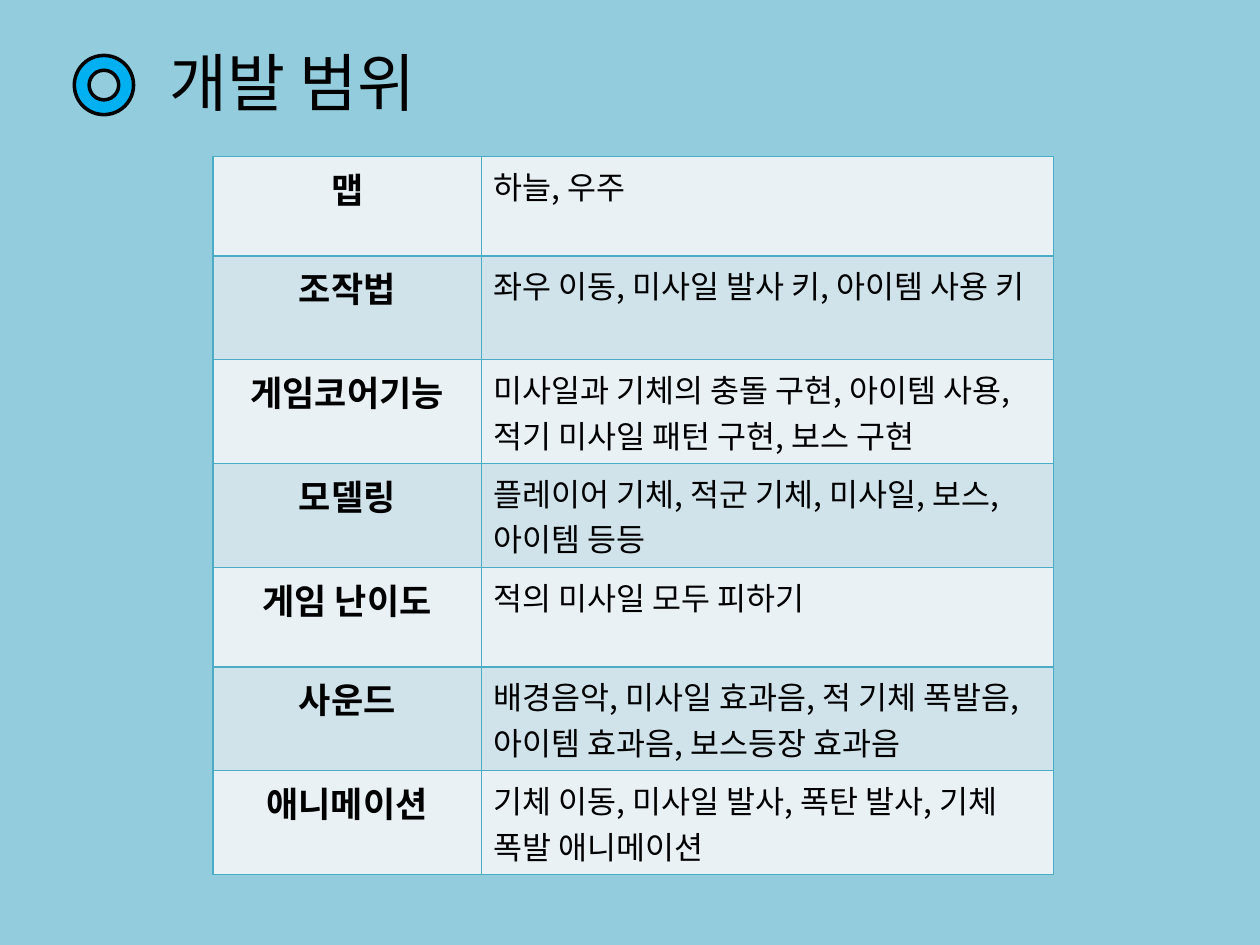
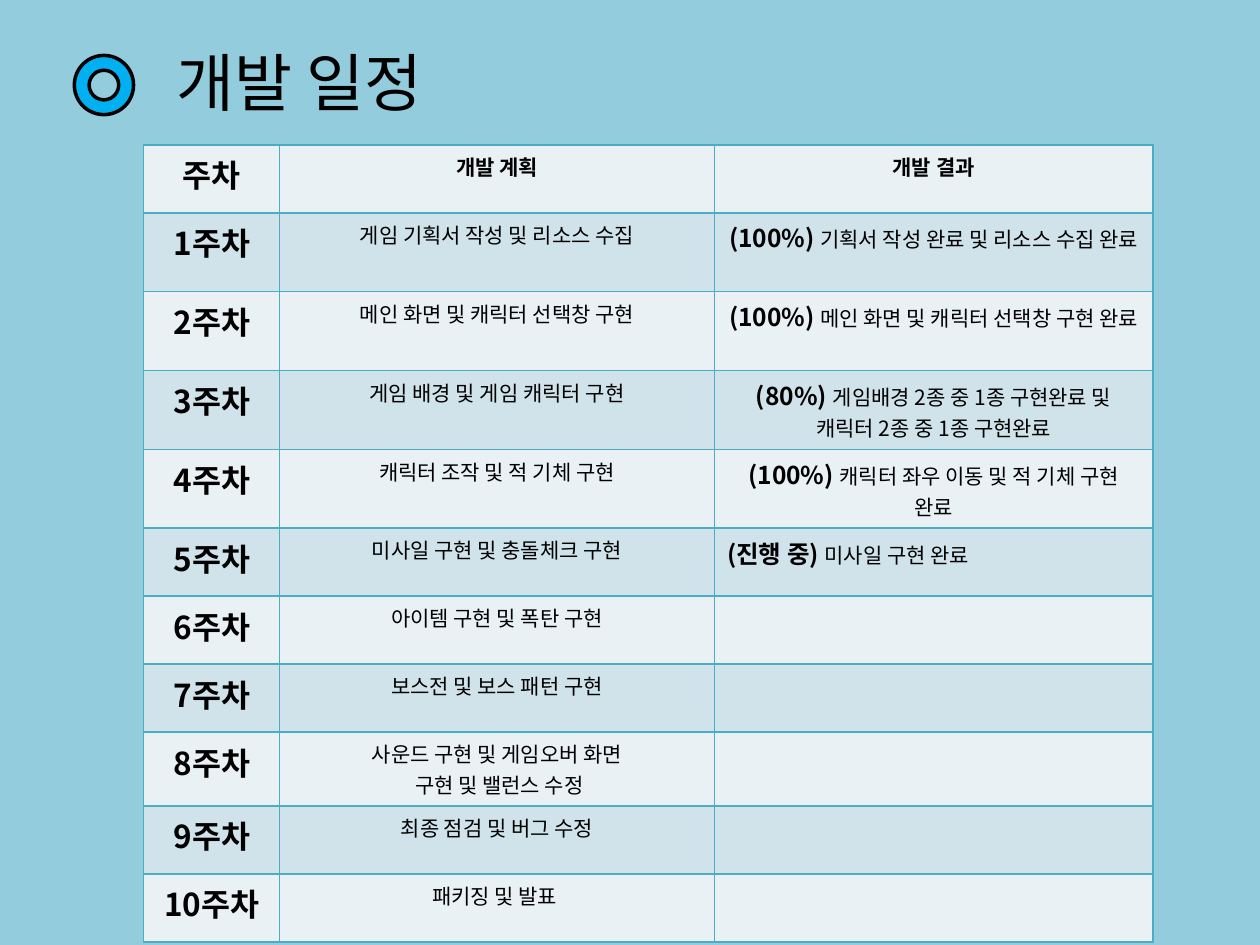
"""Build two slides on a game project: development scope and weekly schedule."""
from lxml.etree import SubElement
from pptx import Presentation
from pptx.dml.color import RGBColor
from pptx.enum.shapes import MSO_SHAPE as Shape
from pptx.enum.text import MSO_ANCHOR as Anchor, MSO_AUTO_SIZE as AutoSize, PP_ALIGN as Align
from pptx.oxml import parse_xml
from pptx.oxml.ns import nsdecls, qn
from pptx.util import Pt

PX = 9144
FONT = "Noto Sans CJK KR"
BLACK = RGBColor(0x00, 0x00, 0x00)
SKY = RGBColor(0x93, 0xCD, 0xDD)
RING_BLUE = RGBColor(0x00, 0xB0, 0xF0)
BORDER = RGBColor(0x4B, 0xAC, 0xC6)
BANDS = [RGBColor(0xE9, 0xF1, 0xF5), RGBColor(0xD0, 0xE3, 0xEA)]

SCOPE = [
    ("맵", "하늘, 우주"),
    ("조작법", "좌우 이동, 미사일 발사 키, 아이템 사용 키"),
    ("게임코어기능", "미사일과 기체의 충돌 구현, 아이템 사용, 적기 미사일 패턴 구현, 보스 구현"),
    ("모델링", "플레이어 기체, 적군 기체, 미사일, 보스, 아이템 등등"),
    ("게임 난이도", "적의 미사일 모두 피하기"),
    ("사운드", "배경음악, 미사일 효과음, 적 기체 폭발음, 아이템 효과음, 보스등장 효과음"),
    ("애니메이션", "기체 이동, 미사일 발사, 폭탄 발사, 기체 폭발 애니메이션"),
]
SCHEDULE = [
    (["게임 기획서 작성 및 리소스 수집"], "(100%) ", "기획서 작성 완료 및 리소스 수집 완료 "),
    (["메인 화면 및 캐릭터 선택창 구현"], "(100%) ", "메인 화면 및 캐릭터 선택창 구현 완료"),
    (["게임 배경 및 게임 캐릭터 구현"], "(80%) ",
     "게임배경 2종 중 1종 구현완료 및 캐릭터 2종 중 1종 구현완료"),
    (["캐릭터 조작 및 적 기체 구현"], "(100%) ", "캐릭터 좌우 이동 및 적 기체 구현 완료"),
    (["미사일 구현 및 충돌체크 구현"], "(진행 중) ", "미사일 구현 완료"),
    (["아이템 구현 및 폭탄 구현"], "", ""),
    (["보스전 및 보스 패턴 구현"], "", ""),
    (["사운드 구현 및 게임오버 화면", " 구현 및 밸런스 수정"], "", ""),
    (["최종 점검 및 버그 수정"], "", ""),
    (["패키징 및 발표 "], "", ""),
]


def write(frame, paragraphs, align):
    """Fill a text frame with paragraphs of (text, size, bold) spans."""
    for index, spans in enumerate(paragraphs):
        para = frame.add_paragraph() if index else frame.paragraphs[0]
        para.alignment = align
        for text, size, bold in spans:
            span = para.add_run()
            span.text = text
            span.font.size = Pt(size)
            span.font.bold = bold
            span.font.color.rgb = BLACK
            span.font.name = FONT
            SubElement(span.font._element, qn("a:ea"), typeface=FONT)


def add_grid(slide, left, top, widths, row_height, rows):
    """Add a banded, bordered table whose cells are (paragraphs, align)."""
    table = slide.shapes.add_table(
        len(rows), len(widths), left * PX, top * PX,
        sum(widths) * PX, len(rows) * row_height * PX).table
    table.first_row = table.horz_banding = False
    for column, width in zip(table.columns, widths):
        column.width = width * PX
    for row_index, row in enumerate(rows):
        table.rows[row_index].height = row_height * PX
        for column_index, (paragraphs, align) in enumerate(row):
            cell = table.cell(row_index, column_index)
            cell.fill.solid()
            cell.fill.fore_color.rgb = BANDS[row_index % 2]
            write(cell.text_frame, paragraphs, align)
            properties = cell._tc.get_or_add_tcPr()
            for position, side in enumerate("LRTB"):
                properties.insert(position, parse_xml(
                    f'<a:ln{side} {nsdecls("a")} w="12700"><a:solidFill>'
                    f'<a:srgbClr val="{BORDER}"/></a:solidFill></a:ln{side}>'))


deck = Presentation()
deck.slide_width = 1000 * PX
deck.slide_height = 750 * PX
background = deck.slide_master.background.fill
background.solid()
background.fore_color.rgb = SKY

scope_rows = [
    [([[(topic, 20, True)]], Align.CENTER), ([[(detail, 18, False)]], Align.LEFT)]
    for topic, detail in SCOPE
]

schedule_rows = [[
    ([[(heading, size, True)]], Align.CENTER)
    for heading, size in [("주차", 18), ("개발 계획", 12), ("개발 결과", 12)]
]]
for week, (plan, status, result) in enumerate(SCHEDULE, start=1):
    outcome = [[(status, 14, True), (result, 12, False)]] if status else []
    schedule_rows.append([
        ([[(f"{week}주차", 18, True)]], Align.CENTER),
        ([[(line, 12, False)] for line in plan], Align.CENTER),
        (outcome, Align.LEFT if "진행" in status else Align.CENTER),
    ])

for title_text, left, top, widths, row_height, rows in [
    ("개발 범위", 169, 124, [213, 454], 79, scope_rows),
    (" 개발 일정", 114, 115, [108, 345, 348], 54, schedule_rows),
]:
    slide = deck.slides.add_slide(deck.slide_layouts[5])
    title = slide.shapes.title
    title.left, title.top, title.width, title.height = -1 * PX, 2 * PX, 466 * PX, 125 * PX
    title.text_frame.auto_size = AutoSize.NONE
    title.text_frame.vertical_anchor = Anchor.MIDDLE
    write(title.text_frame, [[(title_text, 36, False)]], Align.CENTER)

    ring = slide.shapes.add_shape(Shape.DONUT, 59 * PX, 44 * PX, 47 * PX, 47 * PX)
    ring.shadow.inherit = False
    ring.fill.solid()
    ring.fill.fore_color.rgb = RING_BLUE
    ring.line.color.rgb = BLACK
    ring.line.width = Pt(2)

    add_grid(slide, left, top, widths, row_height, rows)

deck.save("out.pptx")
